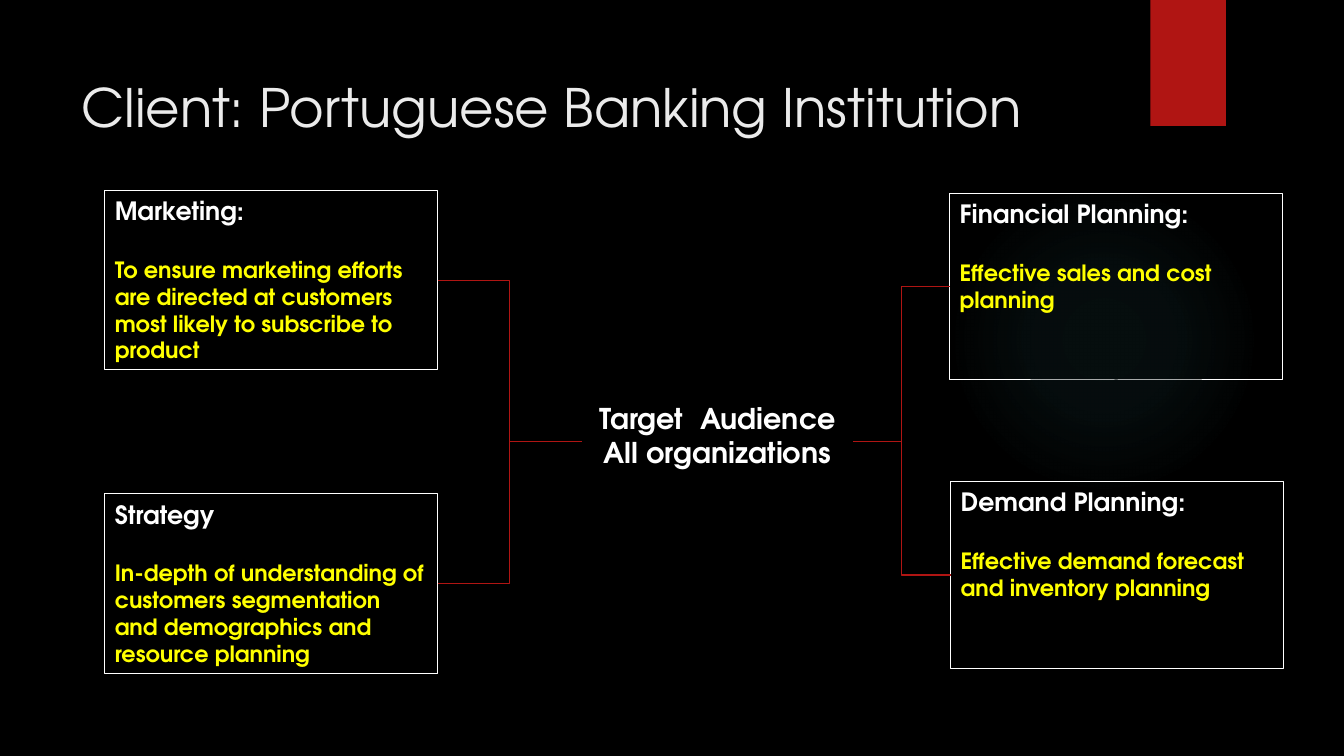
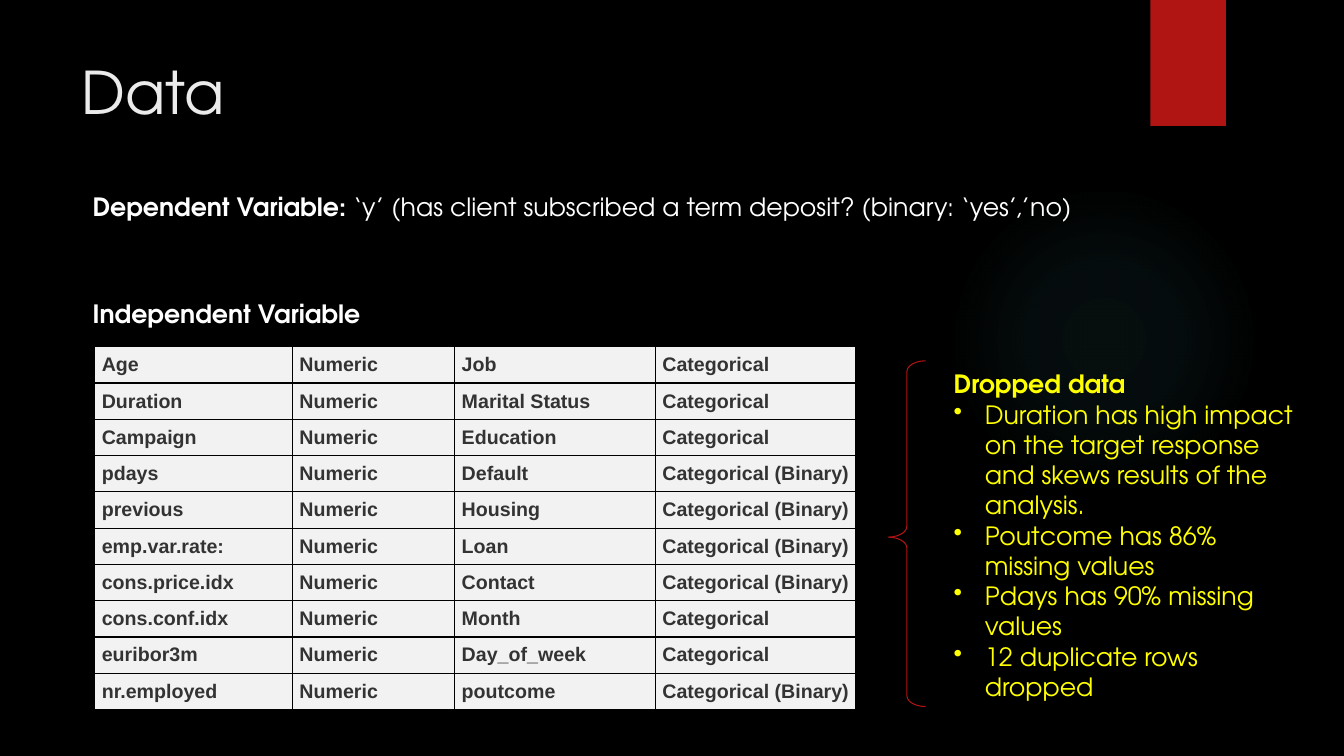
"""Build two slides on a bank client and the data behind its campaign analysis."""
from lxml import etree
from pptx import Presentation
from pptx.dml.color import RGBColor
from pptx.enum.shapes import MSO_CONNECTOR, MSO_SHAPE
from pptx.enum.text import MSO_ANCHOR, PP_ALIGN
from pptx.oxml import parse_xml
from pptx.oxml.ns import nsdecls, qn
from pptx.util import Inches, Pt

RECT, OVAL, BRACE = MSO_SHAPE.RECTANGLE, MSO_SHAPE.OVAL, MSO_SHAPE.LEFT_BRACE
ELBOW = MSO_CONNECTOR.ELBOW
TOP, MIDDLE = MSO_ANCHOR.TOP, MSO_ANCHOR.MIDDLE
LEFT, CENTER = PP_ALIGN.LEFT, PP_ALIGN.CENTER
LEFT_SITE, RIGHT_SITE = 1, 3
FONT, TABLE_FONT = "TeX Gyre Adventor", "Arial"
COLORS = {
    "black": "000000", "red": "B01513", "glow": "50B9C1", "title": "EBEBEB",
    "white": "FFFFFF", "yellow": "FFFF00", "cell": "F2F2F2", "cell_text": "333333",
}
RGB = {name: RGBColor.from_string(value) for name, value in COLORS.items()}


def style(p, size, color, bold=False, font=FONT, align=LEFT):
    p.alignment = align
    p.font.name = font
    p.font.size = Pt(size)
    p.font.bold = bold
    p.font.color.rgb = RGB[color]


def add_slide(title, top, width, height, size):
    s = prs.slides.add_slide(prs.slide_layouts[5])
    glow = s.shapes.add_shape(OVAL, Inches(9.41), Inches(1.83), Inches(3.08), Inches(3.08))
    glow.shadow.inherit = False
    glow.line.fill.background()
    stops = "".join(
        f'<a:gs pos="{pos}000"><a:srgbClr val="{COLORS["glow"]}">'
        f'<a:alpha val="{alpha}000"/></a:srgbClr></a:gs>'
        for pos, alpha in ((0, 7), (36, 6), (69, 0)))
    glow.element.spPr.find(qn("a:prstGeom")).addnext(parse_xml(
        f'<a:gradFill {nsdecls("a")}><a:gsLst>{stops}</a:gsLst><a:path path="circle">'
        '<a:fillToRect l="50000" t="50000" r="50000" b="50000"/></a:path></a:gradFill>'))
    band = s.shapes.add_shape(RECT, Inches(11.41), 0, Inches(0.75), Inches(1.25))
    band.shadow.inherit = False
    band.fill.solid()
    band.fill.fore_color.rgb = RGB["red"]
    band.line.fill.background()
    sp = s.shapes.title
    sp.left, sp.top = Inches(0.71), Inches(top)
    sp.width, sp.height = Inches(width), Inches(height)
    sp.text_frame.text = title
    sp.text_frame.vertical_anchor = TOP
    style(sp.text_frame.paragraphs[0], size, "title")
    return s


prs = Presentation()
prs.slide_width, prs.slide_height = Inches(13.33), Inches(7.5)
background = prs.slide_master.background.fill
background.solid()
background.fore_color.rgb = RGB["black"]

s = add_slide("Client: Portuguese Banking Institution", 0.69, 10.12, 1.34, 37.8)
audience = s.shapes.add_textbox(Inches(5.77), Inches(3.93), Inches(2.69), Inches(0.9))
tf = audience.text_frame
tf.word_wrap = True
tf.text = "Target \tAudience All organizations"
style(tf.paragraphs[0], 20.4, "white", bold=True, align=CENTER)

boxes = [
    (1.04, 1.89, 1.78, "Marketing:",
     "To ensure marketing efforts are directed at customers most likely to subscribe to product"),
    (9.42, 1.92, 1.85, "Financial Planning:", "Effective sales and cost planning"),
    (1.04, 4.9, 1.78, "Strategy",
     "In-depth of understanding of customers segmentation and demographics and resource planning"),
    (9.43, 4.78, 1.85, "Demand Planning:", "Effective demand forecast and inventory planning"),
]
for left, top, height, heading, goal in boxes:
    box = s.shapes.add_shape(RECT, Inches(left), Inches(top), Inches(3.3), Inches(height))
    box.shadow.inherit = False
    box.fill.background()
    box.line.color.rgb = RGB["white"]
    box.line.width = Pt(0.75)
    tf = box.text_frame
    tf.word_wrap = True
    tf.vertical_anchor = TOP
    p = tf.paragraphs[0]
    p.text = heading
    p.space_after = Pt(21.6)
    style(p, 18, "white", bold=True)
    p = tf.add_paragraph()
    p.text = goal
    style(p, 16, "yellow", bold=True)

    on_left = box.left < audience.left
    link = s.shapes.add_connector(ELBOW, 0, 0, 0, 0)
    link.begin_connect(box, RIGHT_SITE if on_left else LEFT_SITE)
    link.end_connect(audience, LEFT_SITE if on_left else RIGHT_SITE)
    link.line.color.rgb = RGB["red"]
    link.line.width = Pt(0.75)
    etree.SubElement(link.element.spPr, qn("a:effectLst"))

s = add_slide("Data", 0.5, 10.29, 1.53, 42)
labels = [
    (1.85, 10, "Dependent Variable: ",
     "‘y’ (has client subscribed a term deposit? (binary: ‘yes’,’no)"),
    (2.91, 2.93, "Independent Variable", ""),
]
for top, width, name, detail in labels:
    sp = s.shapes.add_textbox(Inches(0.82), Inches(top), Inches(width), Inches(0.4))
    p = sp.text_frame.paragraphs[0]
    style(p, 18, "white")
    r = p.add_run()
    r.text = name
    r.font.bold = True
    if detail:
        p.add_run().text = detail

categorical, binary = "Categorical", "Categorical (Binary)"
variables = [
    ("Age", "Job", categorical),
    ("Duration", "Marital Status", categorical),
    ("Campaign", "Education", categorical),
    ("pdays", "Default", binary),
    ("previous", "Housing", binary),
    ("emp.var.rate:", "Loan", binary),
    ("cons.price.idx", "Contact", binary),
    ("cons.conf.idx", "Month", categorical),
    ("euribor3m", "Day_of_week", categorical),
    ("nr.employed", "poutcome", binary),
]
widths = [1.96, 1.61, 1.99, 1.99]
table = s.shapes.add_table(len(variables), len(widths), Inches(0.94), Inches(3.44),
                           Inches(sum(widths)), Inches(0.36 * len(variables))).table
for column, width in zip(table.columns, widths):
    column.width = Inches(width)
for i, (numeric, category, kind) in enumerate(variables):
    table.rows[i].height = Inches(0.36)
    for j, text in enumerate((numeric, "Numeric", category, kind)):
        cell = table.cell(i, j)
        cell.text = text
        cell.margin_left, cell.margin_right = Inches(0.07), Inches(0.04)
        cell.margin_top = cell.margin_bottom = Inches(0.06)
        cell.vertical_anchor = MIDDLE
        style(cell.text_frame.paragraphs[0], 14, "cell_text", bold=True, font=TABLE_FONT)
        tcPr = cell._tc.get_or_add_tcPr()
        for side in "LRTB":
            tcPr.append(parse_xml(
                f'<a:ln{side} {nsdecls("a")} w="12700"><a:solidFill>'
                f'<a:srgbClr val="{COLORS["black"]}"/></a:solidFill></a:ln{side}>'))
        cell.fill.solid()
        cell.fill.fore_color.rgb = RGB["cell"]

brace = s.shapes.add_shape(BRACE, Inches(8.81), Inches(3.58), Inches(0.37), Inches(3.43))
brace.shadow.inherit = False
brace.adjustments[0], brace.adjustments[1] = 0.29, 0.51
brace.fill.background()
brace.line.color.rgb = RGB["red"]
brace.line.width = Pt(0.75)

sp = s.shapes.add_textbox(Inches(9.36), Inches(3.61), Inches(3.72), Inches(3.43))
tf = sp.text_frame
tf.word_wrap = True
tf.text = "Dropped data"
style(tf.paragraphs[0], 18, "yellow", bold=True)
for reason in (
    "Duration has high impact on the target response and skews results of the analysis.",
    "Poutcome has 86% missing values",
    "Pdays has 90% missing values",
    "12 duplicate rows dropped",
):
    p = tf.add_paragraph()
    p.text = reason
    style(p, 18, "yellow")
    pPr = p._p.get_or_add_pPr()
    pPr.set("marL", str(Inches(0.31)))
    pPr.set("indent", str(-Inches(0.31)))
    pPr.insert(0, parse_xml(f'<a:buChar {nsdecls("a")} char="•"/>'))

prs.save("out.pptx")
